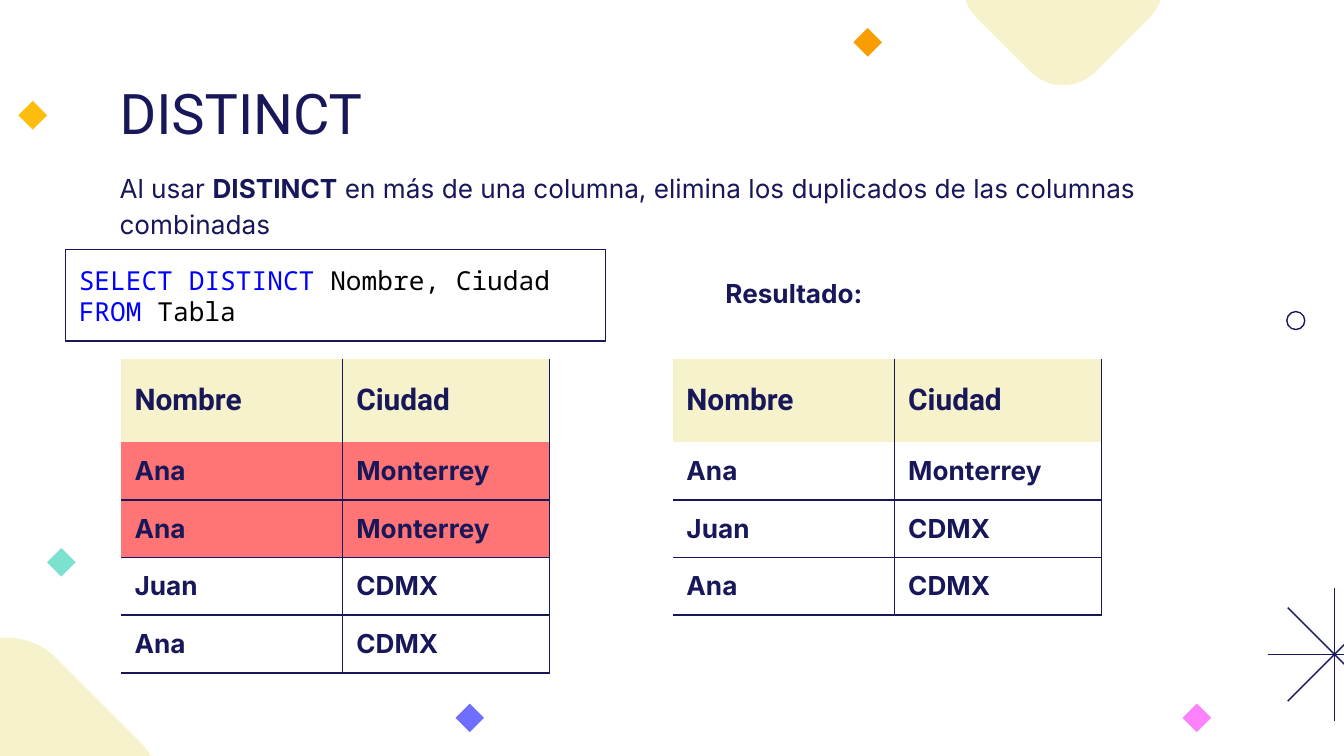
from math import cos, pi, sin

from lxml import etree
from pptx import Presentation
from pptx.dml.color import RGBColor
from pptx.enum.shapes import MSO_CONNECTOR, MSO_SHAPE
from pptx.enum.text import MSO_ANCHOR, MSO_AUTO_SIZE, PP_ALIGN
from pptx.oxml.ns import qn
from pptx.util import Cm, Pt

TOP, MIDDLE = MSO_ANCHOR.TOP, MSO_ANCHOR.MIDDLE
LEFT = PP_ALIGN.LEFT
NO_AUTOFIT = MSO_AUTO_SIZE.NONE
RECTANGLE, ROUNDED = MSO_SHAPE.RECTANGLE, MSO_SHAPE.ROUNDED_RECTANGLE
DIAMOND, OVAL = MSO_SHAPE.DIAMOND, MSO_SHAPE.OVAL
STRAIGHT = MSO_CONNECTOR.STRAIGHT

# Theme: colours and type styles
THEME = {
    "navy": "17175A", "cream": "F6F2CC", "red": "FF7575", "white": "FFFFFF",
    "keyword": "0000FF", "code": "000000",
    "line": 0.75, "row_line": 1,
    "styles": {
        "title": {"name": "Roboto", "size": Pt(30), "bold": False},
        "header": {"name": "Roboto", "size": Pt(16), "bold": True},
        "body": {"name": "Inter", "size": Pt(14), "bold": False},
        "strong": {"name": "Inter", "size": Pt(14), "bold": True},
        "code": {"name": "Noto Sans Mono", "size": Pt(14), "bold": False},
    },
}

# Content: paragraphs are lists of (text, style, colour)
TITLE = [[("DISTINCT", "title", "navy")]]
INTRO = [[
    ("Al usar ", "body", "navy"),
    ("DISTINCT", "strong", "navy"),
    (" en más de una columna, elimina los duplicados de las columnas combinadas",
     "body", "navy"),
]]
QUERY = [
    [("SELECT", "code", "keyword"), (" ", "code", "code"),
     ("DISTINCT", "code", "keyword"), (" Nombre, Ciudad", "code", "code")],
    [("FROM", "code", "keyword"), (" Tabla", "code", "code")],
]
RESULT = [[("Resultado:", "strong", "navy")]]
HEADER = ("Nombre", "Ciudad")
SOURCE_ROWS = [("Ana", "Monterrey"), ("Ana", "Monterrey"), ("Juan", "CDMX"), ("Ana", "CDMX")]
RESULT_ROWS = [("Ana", "Monterrey"), ("Juan", "CDMX"), ("Ana", "CDMX")]

# Layout, in centimetres
SLIDE_SIZE = (25.4, 14.29)
COLUMN_WIDTHS = (4.19, 3.9)
HEADER_HEIGHT, ROW_HEIGHT = 1.58, 1.09
TABLE_TOP = 6.78
BLOCKS = [(0.13, 14.96, 4.88), (20.09, -0.28, 3.18)]  # centre x, centre y, side
DIAMONDS = [
    (1.16, 10.63, "7CE1CF"), (0.62, 2.18, "FCBD0E"), (16.4, 0.8, "FA9D02"),
    (22.62, 13.57, "FC81FD"), (8.88, 13.57, "6E6FFF"),
]
DIAMOND_SIZE = 0.54
RING = (24.49, 6.06, 0.34)
STAR = (25.22, 12.37, 1.25)


def color(name):
    return RGBColor.from_string(THEME.get(name, name))


def add_figure(slide, kind, box, fill=None, line=None):
    shape = slide.shapes.add_shape(kind, *map(Cm, box))
    shape.shadow.inherit = False
    if fill:
        shape.fill.solid()
        shape.fill.fore_color.rgb = color(fill)
    else:
        shape.fill.background()
    if line:
        shape.line.color.rgb = color(line)
        shape.line.width = Pt(THEME["line"])
    else:
        shape.line.fill.background()
    return shape


def add_centred(slide, kind, x, y, size, **look):
    return add_figure(slide, kind, (x - size / 2, y - size / 2, size, size), **look)


def write(frame, paragraphs, anchor=TOP, spacing=1.0):
    margins = dict.fromkeys(
        ("margin_left", "margin_right", "margin_top", "margin_bottom"), Cm(0.25))
    settings = {"word_wrap": True, "auto_size": NO_AUTOFIT, "vertical_anchor": anchor}
    for key, value in {**margins, **settings}.items():
        setattr(frame, key, value)
    for index, runs in enumerate(paragraphs):
        paragraph = frame.paragraphs[0] if index == 0 else frame.add_paragraph()
        paragraph.alignment = LEFT
        paragraph.line_spacing = spacing
        add_runs(paragraph, runs)


def add_runs(paragraph, runs):
    for text, style, tint in runs:
        run = paragraph.add_run()
        run.text = text
        for key, value in THEME["styles"][style].items():
            setattr(run.font, key, value)
        run.font.color.rgb = color(tint)


def add_text(slide, box, paragraphs, **options):
    write(slide.shapes.add_textbox(*map(Cm, box)).text_frame, paragraphs, **options)


def set_borders(cell, widths):
    """Draw the given sides (width in points) and clear the others."""
    properties = cell._tc.get_or_add_tcPr()
    for index, side in enumerate(("lnL", "lnR", "lnT", "lnB")):
        border = etree.Element(qn(f"a:{side}"))
        if widths.get(side):
            border.set("w", str(Pt(widths[side])))
            fill = etree.SubElement(border, qn("a:solidFill"))
            etree.SubElement(fill, qn("a:srgbClr"), val=THEME["navy"])
        else:
            etree.SubElement(border, qn("a:noFill"))
        properties.insert(index, border)


def add_data_table(slide, left, rows, marked=0):
    """Add a table whose first `marked` body rows are highlighted."""
    heights = [HEADER_HEIGHT] + [ROW_HEIGHT] * len(rows)
    table = slide.shapes.add_table(
        len(heights), len(HEADER), Cm(left), Cm(TABLE_TOP),
        Cm(sum(COLUMN_WIDTHS)), Cm(sum(heights))).table
    table.first_row = table.horz_banding = False
    for column, width in zip(table.columns, COLUMN_WIDTHS):
        column.width = Cm(width)
    for r, (values, height) in enumerate(zip([HEADER, *rows], heights)):
        table.rows[r].height = Cm(height)
        fill = "cream" if r == 0 else "red" if r <= marked else None
        for c, text in enumerate(values):
            cell = table.cell(r, c)
            cell.vertical_anchor = MIDDLE
            add_runs(cell.text_frame.paragraphs[0],
                     [(text, "strong" if r else "header", "navy")])
            if fill:
                cell.fill.solid()
                cell.fill.fore_color.rgb = color(fill)
            else:
                cell.fill.background()
            set_borders(cell, {
                "lnL": THEME["line"] if c else 0,
                "lnR": THEME["line"],
                "lnT": THEME["row_line"] if r > 1 else 0,
                "lnB": THEME["row_line"] if r else 0,
            })


def add_decoration(slide):
    for x, y, side in BLOCKS:
        block = add_centred(slide, ROUNDED, x, y, side, fill="cream")
        block.adjustments[0] = 0.27
        block.rotation = 45
    for x, y, fill in DIAMONDS:
        add_centred(slide, DIAMOND, x, y, DIAMOND_SIZE, fill=fill)
    add_centred(slide, OVAL, *RING, line="navy")
    # Star of four crossing lines
    x, y, radius = STAR
    for step in range(4):
        dx, dy = radius * cos(step * pi / 4), radius * sin(step * pi / 4)
        ray = slide.shapes.add_connector(
            STRAIGHT, Cm(x - dx), Cm(y - dy), Cm(x + dx), Cm(y + dy))
        ray.line.color.rgb = color("navy")
        ray.line.width = Pt(THEME["line"])
        etree.SubElement(ray._element.spPr, qn("a:effectLst"))


def main():
    presentation = Presentation()
    presentation.slide_width, presentation.slide_height = map(Cm, SLIDE_SIZE)
    slide = presentation.slides.add_slide(presentation.slide_layouts[5])
    add_decoration(slide)

    # Title and introduction
    title = slide.shapes.title
    title.left, title.top, title.width, title.height = map(Cm, (2.01, 1.24, 21.41, 1.6))
    write(title.text_frame, TITLE)
    add_text(slide, (2.01, 2.92, 21.41, 1.73), INTRO, spacing=1.15)

    # Query with its source table, then the result
    query = add_figure(slide, RECTANGLE, (1.24, 4.72, 10.21, 1.73), fill="white", line="navy")
    write(query.text_frame, QUERY, anchor=MIDDLE)
    add_data_table(slide, 2.29, SOURCE_ROWS, marked=2)
    add_text(slide, (13.46, 4.9, 4.24, 1.37), RESULT, spacing=1.15)
    add_data_table(slide, 12.72, RESULT_ROWS)
    presentation.save("out.pptx")


if __name__ == "__main__":
    main()
